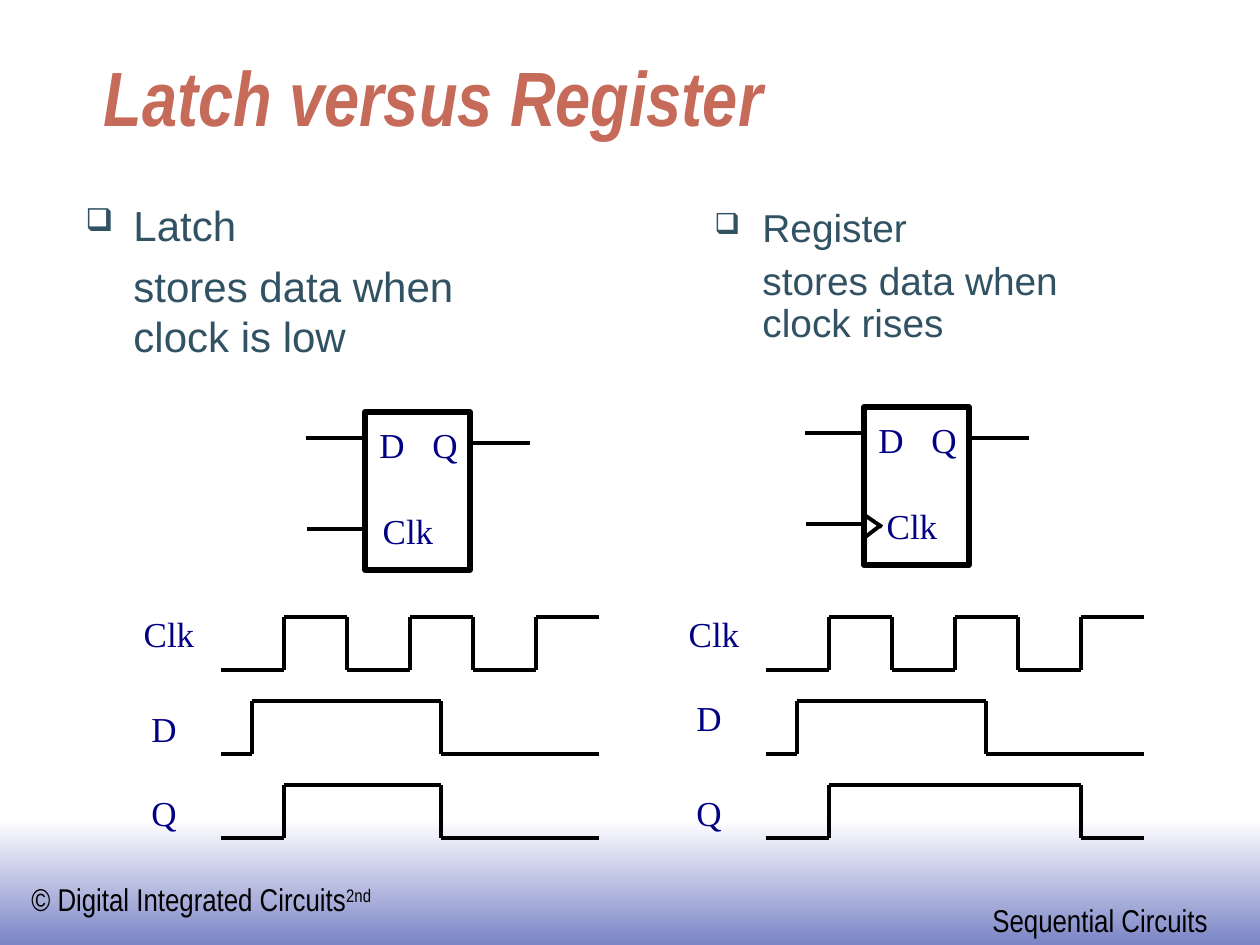
"""Build the slide that compares a latch with a register."""
import dataclasses
import itertools
import typing

import lxml.etree
import pptx
import pptx.dml.color
import pptx.enum.shapes
import pptx.enum.text
import pptx.oxml.ns
import pptx.util

EMU_PER_PX = 914400 / 126
BLACK, NAVY, SLATE, RUST = "000000", "000082", "315263", "C66B5A"
CENTER = pptx.enum.text.PP_ALIGN.CENTER
LEFT = pptx.enum.text.PP_ALIGN.LEFT
MIDDLE = pptx.enum.text.MSO_ANCHOR.MIDDLE
BOTTOM = pptx.enum.text.MSO_ANCHOR.BOTTOM
NO_FIT = pptx.enum.text.MSO_AUTO_SIZE.NONE
INDENT = 48
HALF_PULSE = 63
WAVE_END = 12
WAVE_HEIGHT = 53
LABEL_HEIGHT = 55

Point = tuple[int, int]
Box = tuple[int, int, int, int]


@dataclasses.dataclass
class Signal:
    name: str
    low_y: int
    label_y: int
    toggles: list[int]


@dataclasses.dataclass
class Element:
    heading: str
    rule: str
    text_box: Box
    size: float
    spacing: float
    gate: Point
    clk_dx: int
    edge_marks: list[tuple[Point, Point]]
    wave_x: int
    signals: list[Signal]


CLOCK = Signal("Clk", 670, 606, [2, 4, 6, 8, 10])
ELEMENTS = [
    Element("Latch", "stores data when\vclock is low", (73, 193, 572, 168), 24, 1.0,
            (365, 412), 0, [], 221,
            [CLOCK, Signal("D", 754, 701, [1, 7]), Signal("Q", 838, 785, [2, 7])]),
    Element("Register", "stores data when\vclock rises", (702, 203, 495, 168), 22.2, 0.9,
            (864, 407), 5, [((-1, 107), (18, 120)), ((0, 131), (17, 118))], 766,
            [CLOCK, Signal("D", 754, 690, [1, 7]), Signal("Q", 838, 785, [2, 10])]),
]


def px(n: float) -> int:
    return round(n * EMU_PER_PX)


def rgb(color: str) -> pptx.dml.color.RGBColor:
    return pptx.dml.color.RGBColor.from_string(color)


def set_all(target: typing.Any, values: dict[str, typing.Any]) -> None:
    for name, value in values.items():
        setattr(target, name, value)


def add_run(p: typing.Any, text: str, font: str, size: float, color: str,
            **style: bool) -> typing.Any:
    r = p.add_run()
    r.text = text
    set_all(r.font, {"name": font, "size": pptx.util.Pt(size), **style})
    r.font.color.rgb = rgb(color)
    return r


def add_text(s: typing.Any, box: Box, **frame: typing.Any) -> typing.Any:
    tf = s.shapes.add_textbox(*map(px, box)).text_frame
    set_all(tf, {"word_wrap": True, "auto_size": NO_FIT, **frame})
    return tf


def add_label(s: typing.Any, text: str, x: int, y: int) -> None:
    width = 86 if text == "Clk" else 54
    tf = add_text(s, (x, y, width, LABEL_HEIGHT), vertical_anchor=MIDDLE)
    p = tf.paragraphs[0]
    p.alignment = CENTER
    add_run(p, text, "Times New Roman", 20, NAVY)


def add_line(s: typing.Any, start: Point, end: Point) -> None:
    line = s.shapes.add_connector(pptx.enum.shapes.MSO_CONNECTOR.STRAIGHT,
                                  *map(px, start + end))
    line.line.width = pptx.util.Pt(2.25)
    line.line.color.rgb = rgb(BLACK)
    lxml.etree.SubElement(line._element.spPr, pptx.oxml.ns.qn("a:effectLst"))


def add_bullet(p: typing.Any) -> None:
    pPr = p._p.get_or_add_pPr()
    pPr.set("indent", str(-px(INDENT)))
    qn = pptx.oxml.ns.qn
    color = lxml.etree.SubElement(pPr, qn("a:buClr"))
    lxml.etree.SubElement(color, qn("a:srgbClr"), val=SLATE)
    lxml.etree.SubElement(pPr, qn("a:buSzPct"), val="75000")
    lxml.etree.SubElement(pPr, qn("a:buChar"), char="❑")


def add_description(s: typing.Any, e: Element) -> None:
    tf = add_text(s, e.text_box)
    for p, text in zip((tf.paragraphs[0], tf.add_paragraph()), (e.heading, e.rule)):
        set_all(p, {"space_before": pptx.util.Pt(6), "line_spacing": e.spacing})
        p._p.get_or_add_pPr().set("marL", str(px(INDENT)))
        for i, part in enumerate(text.split("\v")):
            if i:
                p.add_line_break()
            add_run(p, part, "Arial", e.size, SLATE)
    add_bullet(tf.paragraphs[0])


def add_gate(s: typing.Any, e: Element) -> None:
    x, y = e.gate
    body = s.shapes.add_shape(pptx.enum.shapes.MSO_SHAPE.RECTANGLE,
                              px(x), px(y), px(105), px(158))
    body.shadow.inherit = False
    body.fill.background()
    body.line.width = pptx.util.Pt(3)
    body.line.color.rgb = rgb(BLACK)
    leads = [((-59, 26), (0, 26)), ((-58, 117), (2, 117)), ((106, 31), (165, 31))]
    for (x1, y1), (x2, y2) in leads + e.edge_marks:
        add_line(s, (x + x1, y + y1), (x + x2, y + y2))
    for name, dx, dy in (("D", 0, 5), ("Q", 53, 5), ("Clk", e.clk_dx, 91)):
        add_label(s, name, x + dx, y + dy)


def add_wave(s: typing.Any, signal: Signal, left: int) -> None:
    points = []
    ends = itertools.pairwise([0, *signal.toggles, WAVE_END])
    for i, span in enumerate(ends):
        y = signal.low_y - WAVE_HEIGHT * (i % 2)
        points += [(left + t * HALF_PULSE // 2, y) for t in span]
    for start, end in itertools.pairwise(points):
        add_line(s, start, end)
    add_label(s, signal.name, left - (95 if signal.name == "Clk" else 84), signal.label_y)


def add_footer(s: typing.Any) -> None:
    band = s.shapes.add_shape(pptx.enum.shapes.MSO_SHAPE.RECTANGLE,
                              0, px(819), px(1260), px(126))
    band.shadow.inherit = False
    band.line.fill.background()
    band.fill.gradient()
    band.fill.gradient_angle = 270
    for stop, position, color in zip(band.fill.gradient_stops, (0, 1), ("FFFFFF", "7B84C6")):
        stop.position = position
        stop.color.rgb = rgb(color)
    for text, raised, box in (("© Digital Integrated Circuits", "2nd", (19, 874, 364, 50)),
                              ("Sequential Circuits", "", (980, 895, 241, 50))):
        p = add_text(s, box, word_wrap=False).paragraphs[0]
        add_run(p, text, "Arial Narrow", 18, BLACK)
        if raised:
            r = add_run(p, raised, "Arial Narrow", 18, BLACK)
            r._r.get_or_add_rPr().set("baseline", "30000")


def add_title(s: typing.Any, text: str) -> None:
    title = s.shapes.title
    set_all(title, {"left": px(91), "top": px(50), "width": px(1071), "height": px(98)})
    set_all(title.text_frame, {"vertical_anchor": BOTTOM, "word_wrap": True,
                               "auto_size": NO_FIT})
    p = title.text_frame.paragraphs[0]
    p.alignment = LEFT
    add_run(p, text, "Arial Narrow", 44, RUST, bold=True, italic=True)


def main() -> None:
    prs = pptx.Presentation()
    set_all(prs, {"slide_width": px(1260), "slide_height": px(945)})
    s = prs.slides.add_slide(prs.slide_layouts[5])
    add_footer(s)
    add_title(s, "Latch versus Register")
    for e in ELEMENTS:
        add_description(s, e)
        add_gate(s, e)
        for signal in e.signals:
            add_wave(s, signal, e.wave_x)
    prs.save("out.pptx")


if __name__ == "__main__":
    main()
